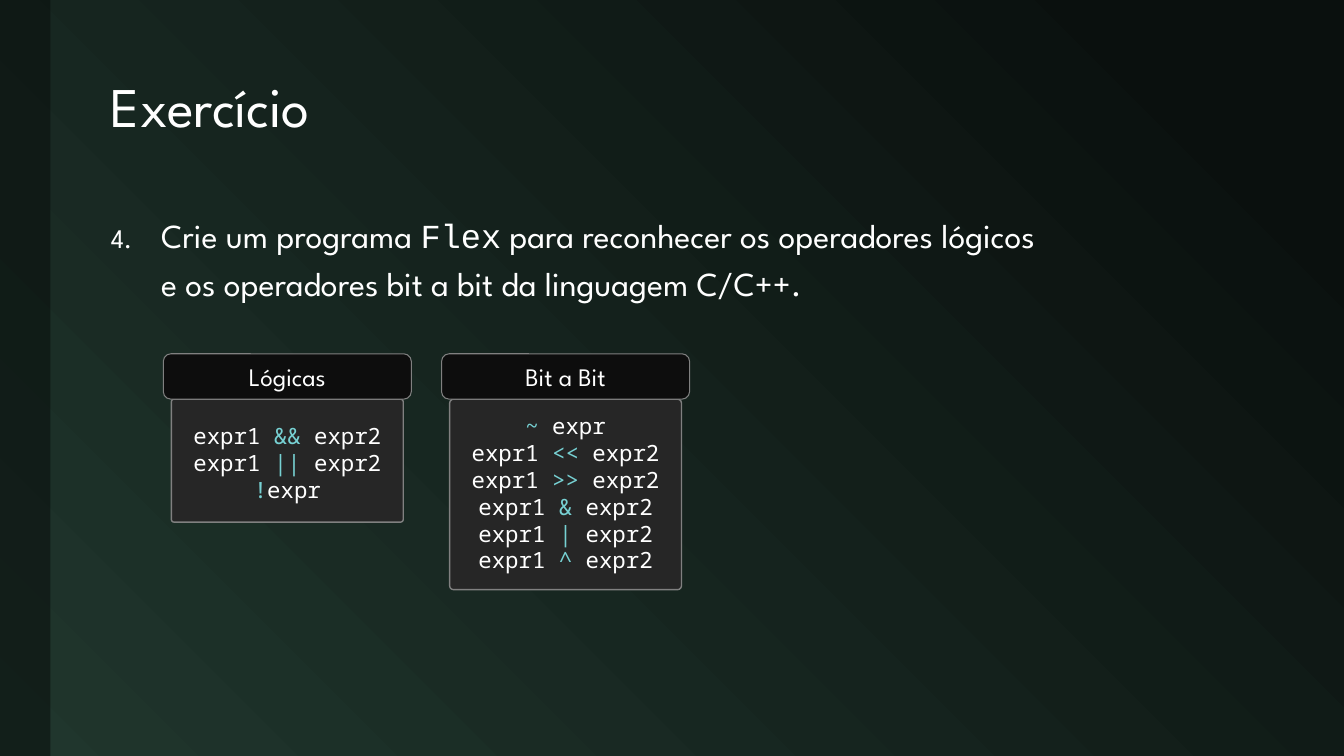
from dataclasses import dataclass

from lxml.etree import SubElement
from pptx import Presentation
from pptx.dml.color import RGBColor
from pptx.enum.shapes import MSO_SHAPE
from pptx.enum.text import MSO_ANCHOR, MSO_AUTO_SIZE, PP_ALIGN
from pptx.oxml.ns import qn
from pptx.util import Inches, Pt


@dataclass(frozen=True)
class Theme:
    dark: RGBColor = RGBColor.from_string("0A100E")
    green: RGBColor = RGBColor.from_string("20362D")
    white: RGBColor = RGBColor.from_string("FFFFFF")
    operator: RGBColor = RGBColor.from_string("77D1D3")
    header: RGBColor = RGBColor.from_string("0D0D0D")
    panel: RGBColor = RGBColor.from_string("262626")
    border: RGBColor = RGBColor.from_string("808080")
    sans: str = "League Spartan"
    mono: str = "Noto Sans Mono"
    tool: str = "Courier New"
    title_size: int = 40
    body_size: int = 24
    header_size: int = 18
    code_size: int = 16


class ExerciseSlide:
    def __init__(self, slide, theme):
        self.slide = slide
        self.theme = theme

    def background(self):
        fill = self.slide.background.fill
        fill.gradient()
        fill.gradient_angle = 225
        stops = ((0.1, self.theme.dark), (1, self.theme.green))
        for stop, (position, color) in zip(fill.gradient_stops, stops):
            stop.position = position
            stop.color.rgb = color

    def font(self, paragraph, size, name):
        paragraph.font.size = Pt(size)
        paragraph.font.name = name
        paragraph.font.color.rgb = self.theme.white

    def box(self, shapes, kind, bounds, color, border=None):
        box = shapes.add_shape(kind, *map(Inches, bounds))
        box.shadow.inherit = False
        box.fill.solid()
        box.fill.fore_color.rgb = color
        if border:
            box.line.color.rgb = self.theme.border
            box.line.width = Pt(border)
        else:
            box.line.fill.background()
        return box

    def side_band(self):
        band = self.box(self.slide.shapes, MSO_SHAPE.RECTANGLE, (0, 0, 0.5, 7.5), self.theme.dark)
        color = band.fill._xPr.find(qn("a:solidFill"))[0]
        SubElement(color, qn("a:alpha"), val="60000")

    def title(self, text):
        title = self.slide.shapes.title
        title.left, title.top, title.width, title.height = map(Inches, (1, 0.42, 11.65, 1.33))
        title.text_frame.text = text
        title.text_frame.vertical_anchor = MSO_ANCHOR.MIDDLE
        paragraph = title.text_frame.paragraphs[0]
        paragraph.alignment = PP_ALIGN.LEFT
        paragraph.line_spacing = 0.9
        self.font(paragraph, self.theme.title_size, self.theme.sans)

    def question(self, number, lines):
        frame = self.slide.shapes.add_textbox(*map(Inches, (1, 2, 11.65, 4.83))).text_frame
        frame.word_wrap = True
        paragraph = frame.paragraphs[0]
        paragraph.line_spacing = 1.2
        paragraph.space_before = Pt(18)
        properties = paragraph._p.get_or_add_pPr()
        properties.set("marL", str(Inches(0.5)))
        properties.set("indent", str(Inches(-0.5)))
        SubElement(properties, qn("a:buSzPct"), val="80000")
        SubElement(properties, qn("a:buAutoNum"), type="arabicPeriod", startAt=str(number))
        self.font(paragraph, self.theme.body_size, self.theme.sans)
        for index, line in enumerate(lines):
            if index:
                paragraph.add_line_break()
            for text, name in line:
                run = paragraph.add_run()
                run.text = text
                run.font.name = name

    def operator_card(self, left, heading, panel_height, code_top, code_height, expressions):
        theme = self.theme
        shapes = self.slide.shapes.add_group_shape().shapes
        rounded = MSO_SHAPE.ROUNDED_RECTANGLE
        panel_left, panel_width = left + 0.08, 2.3

        panel = self.box(shapes, rounded, (panel_left, 3.96, panel_width, panel_height), theme.panel, 1)
        panel.adjustments[0] = 0.021

        header = self.box(shapes, rounded, (left, 3.51, 2.46, 0.45), theme.header, 0.75)
        header.text_frame.text = heading
        header.text_frame.auto_size = MSO_AUTO_SIZE.SHAPE_TO_FIT_TEXT
        caption = header.text_frame.paragraphs[0]
        caption.alignment = PP_ALIGN.CENTER
        self.font(caption, theme.header_size, theme.sans)

        code_bounds = (panel_left, code_top, panel_width, code_height)
        code = shapes.add_textbox(*map(Inches, code_bounds)).text_frame
        code.word_wrap = True
        code.auto_size = MSO_AUTO_SIZE.SHAPE_TO_FIT_TEXT
        for index, (before, operator, after) in enumerate(expressions):
            paragraph = code.add_paragraph() if index else code.paragraphs[0]
            paragraph.alignment = PP_ALIGN.CENTER
            self.font(paragraph, theme.code_size, theme.mono)
            for text, color in ((before, theme.white), (operator, theme.operator), (after, theme.white)):
                if text:
                    run = paragraph.add_run()
                    run.text = text
                    run.font.color.rgb = color


def binary(operators):
    return [("expr1 ", operator, " expr2") for operator in operators]


def main():
    presentation = Presentation()
    presentation.slide_width = Inches(13.33)
    presentation.slide_height = Inches(7.5)
    theme = Theme()
    exercise = ExerciseSlide(presentation.slides.add_slide(presentation.slide_layouts[5]), theme)

    exercise.background()
    exercise.side_band()
    exercise.title("Exercício")
    exercise.question(4, [
        [
            ("Crie um programa ", theme.sans),
            ("Flex", theme.tool),
            (" para reconhecer os operadores lógicos ", theme.sans),
        ],
        [("e os operadores bit a bit da linguagem C/C++.", theme.sans)],
    ])
    logical = binary(["&&", "||"]) + [("", "!", "expr")]
    bitwise = [("", "~ ", "expr")] + binary(["<<", ">>", "&", "|", "^"])
    exercise.operator_card(1.62, "Lógicas", 1.22, 4.14, 0.91, logical)
    exercise.operator_card(4.38, "Bit a Bit", 1.89, 4.04, 1.72, bitwise)

    presentation.save("out.pptx")


if __name__ == "__main__":
    main()
